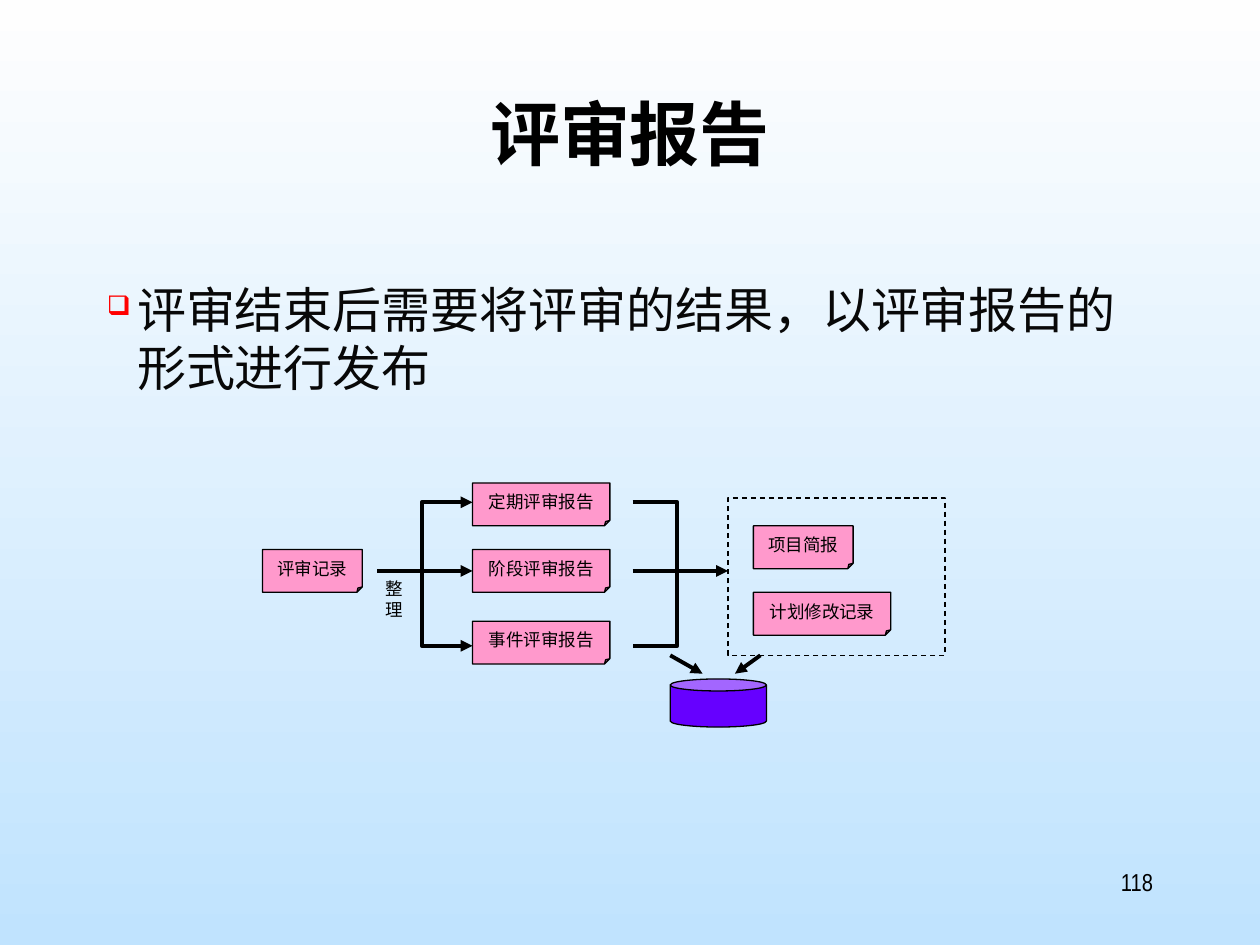
import pptx
import pptx.dml.color
import pptx.enum.dml
import pptx.enum.shapes
import pptx.enum.text
import pptx.oxml
import pptx.oxml.ns
import pptx.util
from dataclasses import dataclass

Pt = pptx.util.Pt
Shape = pptx.enum.shapes.MSO_SHAPE
Align = pptx.enum.text.PP_ALIGN
Anchor = pptx.enum.text.MSO_ANCHOR


@dataclass(frozen=True)
class Theme:
    sky_top: str = "FEFEFE"
    sky_bottom: str = "C0E3FE"
    ink: str = "000000"
    body_ink: str = "080808"
    bullet: str = "FF0000"
    note: str = "FF99CC"
    store: str = "6600FF"
    heading_font: str = "Noto Sans CJK SC"
    label_font: str = "Times New Roman"
    number_font: str = "Arial Narrow"
    title_size: int = 40
    body_size: int = 28
    number_size: int = 14
    label_size: int = 10
    thin: float = 0.75
    thick: float = 2.25


THEME = Theme()


def rgb(color):
    return pptx.dml.color.RGBColor.from_string(color)


def add_xml(parent, tag, **attributes):
    element = pptx.oxml.parse_xml(f"<a:{tag} {pptx.oxml.ns.nsdecls('a')}/>")
    for name, value in attributes.items():
        element.set(name, value)
    parent.append(element)
    return element


def write(shape, text, font=THEME.label_font, size=THEME.label_size, color=THEME.ink,
          bold=False, align=Align.CENTER, anchor=Anchor.TOP, wrap=True):
    frame = shape.text_frame
    frame.word_wrap = wrap
    frame.vertical_anchor = anchor
    frame.text = text
    for para in frame.paragraphs:
        para.alignment = align
        for span in para.runs:
            span.font.name = font
            span.font.size = Pt(size)
            span.font.bold = bold
            span.font.color.rgb = rgb(color)
            add_xml(span.font._element, "ea", typeface=THEME.heading_font)
    return frame


def add_text(slide, box, text, **style):
    return write(slide.shapes.add_textbox(*map(Pt, box)), text, **style)


def style_outline(shape, fill=None, width=THEME.thin):
    shape.shadow.inherit = False
    if fill:
        shape.fill.solid()
        shape.fill.fore_color.rgb = rgb(fill)
    else:
        shape.fill.background()
    shape.line.color.rgb = rgb(THEME.ink)
    shape.line.width = Pt(width)


def add_block(slide, kind, box, fill=None):
    shape = slide.shapes.add_shape(kind, *map(Pt, box))
    style_outline(shape, fill)
    return shape


def add_note(slide, box, text):
    note = add_block(slide, Shape.FOLDED_CORNER, box, THEME.note)
    guides = note._element.spPr.find(".//" + pptx.oxml.ns.qn("a:avLst"))
    add_xml(guides, "gd", name="adj", fmla="val 12500")
    write(note, text, anchor=Anchor.MIDDLE, wrap=False)
    return note


def add_arrow(slide, start, end):
    arrow = slide.shapes.add_connector(
        pptx.enum.shapes.MSO_CONNECTOR.STRAIGHT, *map(Pt, start + end))
    arrow.line.color.rgb = rgb(THEME.ink)
    arrow.line.width = Pt(THEME.thick)
    add_xml(arrow.line._get_or_add_ln(), "tailEnd", type="triangle")
    add_xml(arrow._element.spPr, "effectLst")
    return arrow


def add_bracket(slide, open_x, spine_x, top, bottom, heads=False):
    points = [(open_x, top), (spine_x, top), (spine_x, bottom), (open_x, bottom)]
    builder = slide.shapes.build_freeform(*map(Pt, points[0]), scale=1.0)
    builder.add_line_segments([tuple(map(Pt, point)) for point in points[1:]], close=False)
    bracket = builder.convert_to_shape()
    style_outline(bracket, width=THEME.thick)
    if heads:
        for tag in ("headEnd", "tailEnd"):
            add_xml(bracket.line._get_or_add_ln(), tag, type="triangle")


def paint_background(slide):
    fill = slide.background.fill
    fill.gradient()
    fill.gradient_angle = 270
    for stop, color in zip(fill.gradient_stops, (THEME.sky_top, THEME.sky_bottom)):
        stop.color.rgb = rgb(color)


def add_bullet_text(slide, box, text):
    frame = add_text(slide, box, text, font=THEME.heading_font, size=THEME.body_size,
                     color=THEME.body_ink, align=Align.LEFT)
    para = frame.paragraphs[0]
    para.space_before = Pt(7)
    props = para._p.get_or_add_pPr()
    props.set("marL", str(Pt(17.3)))
    props.set("indent", str(-Pt(17.3)))
    add_xml(add_xml(props, "buClr"), "srgbClr", val=THEME.bullet)
    add_xml(props, "buSzPct", val="55000")
    add_xml(props, "buChar", char="❑")


def add_report_flow(slide, box):
    left, top, width, height = box
    note_height, short, long = 24.5, 57, 78.5
    middle = top + 38 + note_height / 2
    bracket_top, bracket_bottom = top + 11, top + 93

    # Record sorted into three kinds of report
    add_note(slide, (left, top + 38, short, note_height), "评审记录")
    reports = [
        add_note(slide, (left + 120, top + offset, long, note_height), text)
        for offset, text in ((0, "定期评审报告"), (38, "阶段评审报告"), (79, "事件评审报告"))
    ]
    sorting = add_arrow(slide, (left + 65.5, middle), (left + 120, middle))
    sorting.end_connect(reports[1], 1)
    add_bracket(slide, left + 120, left + 91, bracket_top, bracket_bottom, heads=True)
    add_text(slide, (left + 63, top + 50.5, 24.5, 31.5), "整\n理",
             align=Align.JUSTIFY, wrap=False)

    # Reports gathered into the published records
    add_bracket(slide, left + 211.5, left + 237, bracket_top, bracket_bottom)
    add_arrow(slide, (left + 211.5, middle), (left + 266, middle))
    published = add_block(slide, Shape.RECTANGLE,
                          (left + 266, top + 8.5, width - 266, 90))
    published.line.dash_style = pptx.enum.dml.MSO_LINE.DASH
    for offset, note_width, text in ((24.5, short, "项目简报"), (62.5, long, "计划修改记录")):
        add_note(slide, (left + 280.5, top + offset, note_width, note_height), text)

    # Archive
    store_height = 27.5
    store_top = top + height - store_height
    add_block(slide, Shape.CAN, (left + 233, store_top, 55, store_height), THEME.store)
    for start_x, end_x in ((233, 251.5), (284.5, 270)):
        add_arrow(slide, (left + start_x, store_top - 13.5), (left + end_x, store_top - 3))


def build_slide(deck):
    slide = deck.slides.add_slide(deck.slide_layouts[6])
    paint_background(slide)
    add_text(slide, (54, 48, 612, 90), "评审报告", font=THEME.heading_font,
             size=THEME.title_size, bold=True)
    add_bullet_text(slide, (54, 156, 612, 324),
                    "评审结束后需要将评审的结果，以评审报告的形式进行发布")
    add_report_flow(slide, (150, 276, 390, 139.5))
    add_text(slide, (516, 492, 150, 36), "118", font=THEME.number_font,
             size=THEME.number_size, align=Align.RIGHT)


def main():
    deck = pptx.Presentation()
    deck.slide_width, deck.slide_height = Pt(720), Pt(540)
    build_slide(deck)
    deck.save("out.pptx")


if __name__ == "__main__":
    main()
